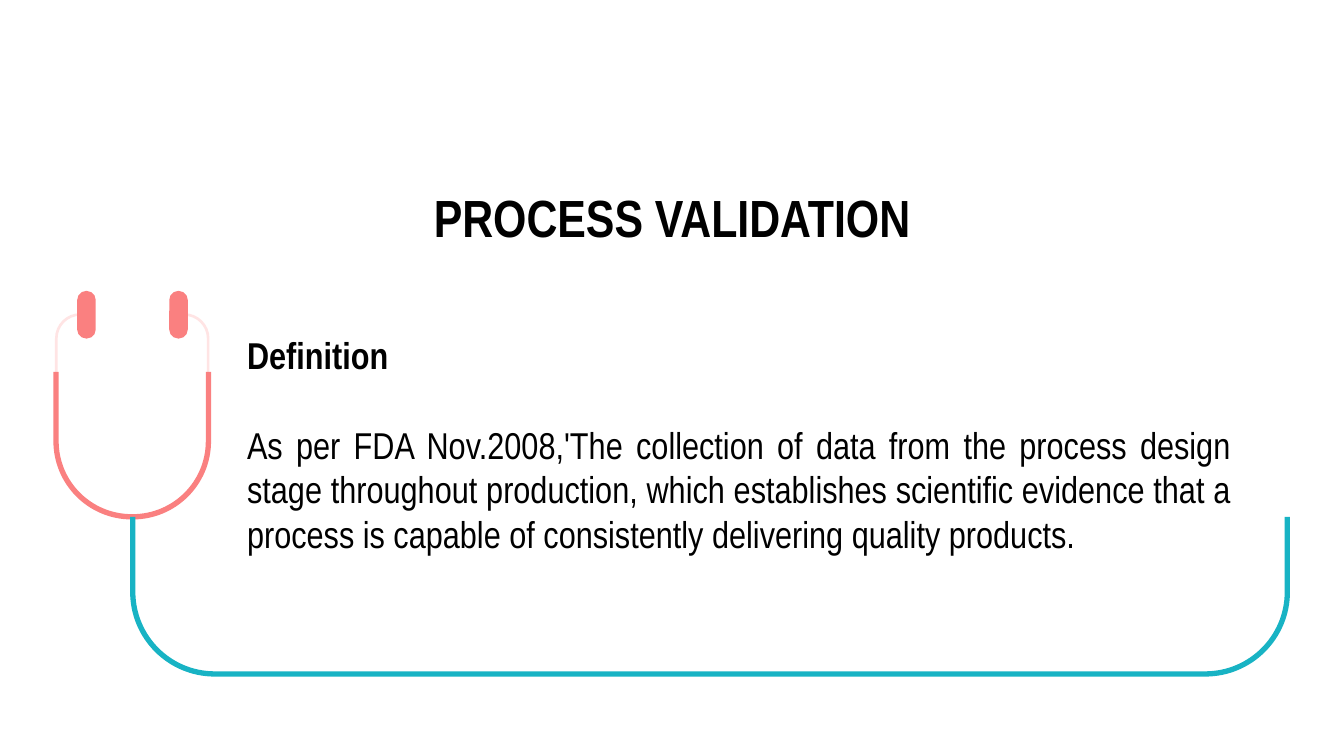
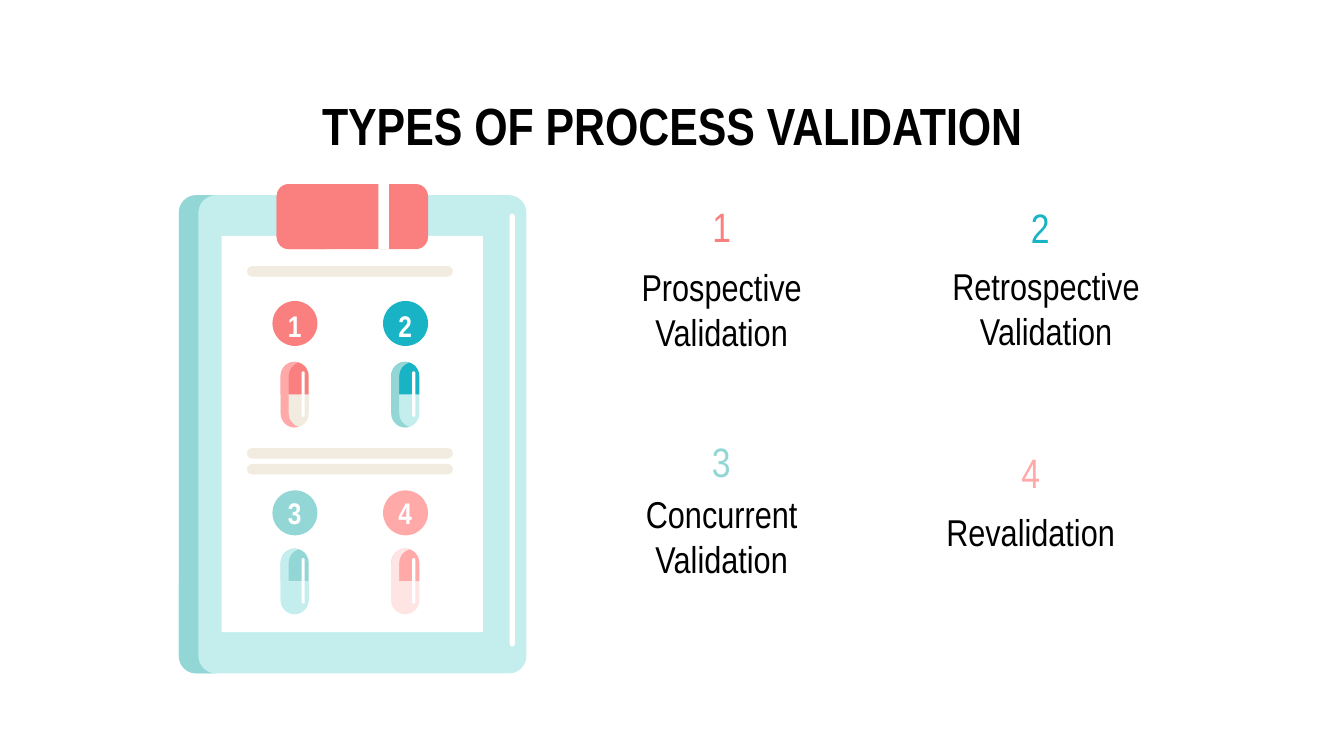
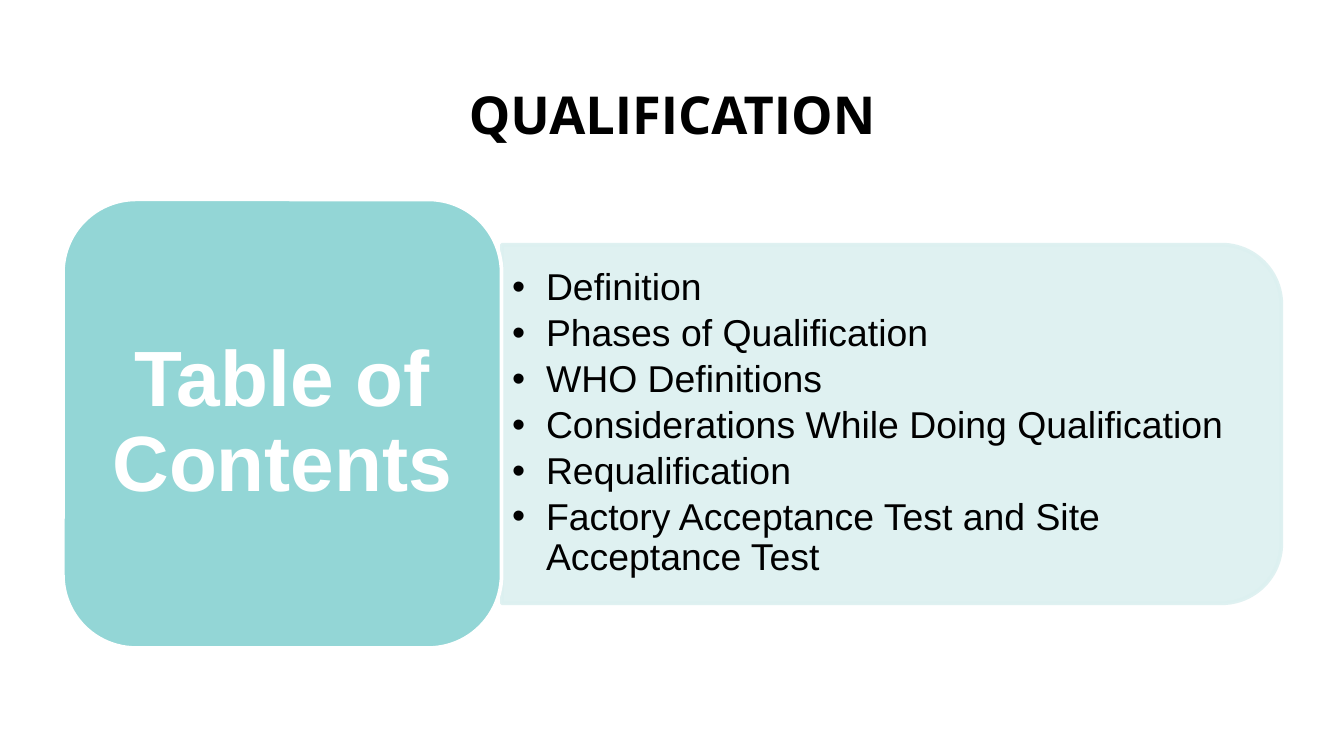
import math

import lxml.etree
import pptx
import pptx.dml.color
import pptx.enum.shapes
import pptx.enum.text
import pptx.oxml.ns
import pptx.util

Cm, Pt = pptx.util.Cm, pptx.util.Pt
qn = pptx.oxml.ns.qn
SHAPE = pptx.enum.shapes.MSO_SHAPE
ALIGN = pptx.enum.text.PP_ALIGN
ANCHOR = pptx.enum.text.MSO_ANCHOR

BLACK, WHITE = "000000", "FFFFFF"
CORAL, PINK, BLUSH = "FA8080", "FFA9A9", "FFE4E4"
TEAL, SEA, MIST = "18B3C4", "93D6D6", "C4EEEE"
SAND, PALE = "F2EBDF", "DCF0F0"
NARROW = "Arial Narrow"

# Lengths in the content and in the drawing functions are centimetres.
DEFINITION = (
    "Definition",
    "As per FDA Nov.2008,'The collection of data from the process design stage "
    "throughout production, which establishes scientific evidence that a process "
    "is capable of consistently delivering quality products.",
)

# name, main colour, lower half, shade, number (left, top), label (left, top, width)
TYPES = [
    ("Prospective Validation", CORAL, SAND, PINK, (11.06, 3.56), (11.06, 4.74, 5.16)),
    ("Retrospective Validation", TEAL, MIST, SEA, (17.08, 3.58), (16.66, 4.72, 6.22)),
    ("Concurrent Validation", SEA, MIST, MIST, (11.05, 8.01), (11.06, 9.04, 5.16)),
    ("Revalidation", PINK, BLUSH, BLUSH, (16.9, 8.2), (16.9, 9.37, 5.16)),
]
DOSE_CENTRES = (5.57, 7.66)
DOSE_ROWS = [(5.69, 5.84, 6.84), (9.27, 9.37, 10.37)]  # tops of disc, number, capsule
RULE_TOPS = (5.03, 8.47, 8.77)

CONTENTS = [
    "Definition",
    "Phases of Qualification",
    "WHO Definitions",
    "Considerations While Doing Qualification",
    "Requalification",
    "Factory Acceptance Test and Site Acceptance Test",
]


def rgb(color):
    return pptx.dml.color.RGBColor.from_string(color)


def paint(sp, fill, line=None):
    sp.shadow.inherit = False
    sp.fill.solid()
    sp.fill.fore_color.rgb = rgb(fill)
    if line:
        sp.line.color.rgb = rgb(line)
        sp.line.width = Pt(2)
    else:
        sp.line.fill.background()
    return sp


def add_box(slide, kind, left, top, width, height, fill, line=None):
    sp = slide.shapes.add_shape(kind, Cm(left), Cm(top), Cm(width), Cm(height))
    return paint(sp, fill, line)


def add_rounded(slide, left, top, width, height, radius, fill):
    sp = add_box(slide, SHAPE.ROUNDED_RECTANGLE, left, top, width, height, fill)
    sp.adjustments[0] = radius / min(width, height)


def arc_points(cx, cy, radius, start, end):
    """Start, two control points and end of an arc; degrees run clockwise."""
    a, b = math.radians(start), math.radians(end)
    pull = 4 / 3 * math.tan((b - a) / 4)
    offsets = [
        (math.cos(a), math.sin(a)),
        (math.cos(a) - pull * math.sin(a), math.sin(a) + pull * math.cos(a)),
        (math.cos(b) + pull * math.sin(b), math.sin(b) - pull * math.cos(b)),
        (math.cos(b), math.sin(b)),
    ]
    return [(cx + radius * x, cy + radius * y) for x, y in offsets]


def add_outline(slide, nodes, fill):
    """Draw a closed outline of points (x, y) and arcs (cx, cy, radius, start, end)."""
    points, curve_starts = [], []
    for node in nodes:
        if len(node) == 2:
            points.append(node)
        else:
            start, *curve = arc_points(*node)
            points.append(start)
            curve_starts.append(len(points) - 1)
            points += curve
    (x, y), *rest = [(Cm(x), Cm(y)) for x, y in points]
    builder = slide.shapes.build_freeform(x, y, scale=1.0)
    builder.add_line_segments(rest, close=True)
    sp = paint(builder.convert_to_shape(), fill)

    lines = list(sp._element.iter(qn("a:lnTo")))
    for i in curve_starts:
        first, *others = lines[i:i + 3]
        curve = lxml.etree.Element(qn("a:cubicBezTo"))
        first.addprevious(curve)
        for line in (first, *others):
            curve.append(line[0])
            line.getparent().remove(line)


def reverse(nodes):
    return [n if len(n) == 2 else (*n[:3], n[4], n[3]) for n in nodes[::-1]]


def mirror(nodes, axis):
    return [(2 * axis - n[0], n[1]) if len(n) == 2
            else (2 * axis - n[0], n[1], n[2], 180 - n[3], 180 - n[4]) for n in nodes]


def u_line(left, top, right, bottom, radius):
    cy = bottom - radius
    return [(left, top), (left + radius, cy, radius, 180, 90),
            (right - radius, cy, radius, 90, 0), (right, top)]


def add_u_tube(slide, left, top, right, bottom, radius, thick, fill):
    outer = u_line(left, top, right, bottom, radius)
    inner = u_line(left + thick, top, right - thick, bottom - thick, radius - thick)
    add_outline(slide, outer + reverse(inner), fill)


def left_side(left, top, bottom, radius, lean):
    """Left edge with round corners; each end goes lean degrees past the upright."""
    cx = left + radius
    return [(cx, top + radius, radius, 270 + lean, 180),
            (cx, bottom - radius, radius, 180, 90 - lean)]


def add_crescent(slide, left, top, height, radius, shift, lean, fill):
    outer = left_side(left, top, top + height, radius, lean)
    inner = left_side(left + shift, top, top + height, radius, -lean)
    add_outline(slide, outer + reverse(inner), fill)


def set_frame(tf, inset_x, inset_y, anchor=ANCHOR.TOP):
    tf.word_wrap = True
    tf.auto_size = pptx.enum.text.MSO_AUTO_SIZE.NONE
    tf.vertical_anchor = anchor
    tf.margin_left = tf.margin_right = Cm(inset_x)
    tf.margin_top = tf.margin_bottom = Cm(inset_y)
    return tf


def add_textbox(slide, left, top, width, height, inset_x, inset_y, anchor=ANCHOR.TOP):
    sp = slide.shapes.add_textbox(Cm(left), Cm(top), Cm(width), Cm(height))
    return set_frame(sp.text_frame, inset_x, inset_y, anchor)


def write(p, text, size, color=BLACK, font=NARROW, bold=False, align=ALIGN.CENTER):
    p.alignment = align
    r = p.add_run()
    r.text = text
    r.font.size = Pt(size)
    r.font.name = font
    r.font.bold = bold
    r.font.color.rgb = rgb(color)


def add_bullet(p, indent):
    pPr = p._p.get_or_add_pPr()
    pPr.set("marL", str(Cm(indent)))
    pPr.set("indent", str(-Cm(indent)))
    lxml.etree.SubElement(pPr, qn("a:buFont")).set("typeface", "Arial")
    lxml.etree.SubElement(pPr, qn("a:buChar")).set("char", "•")


def set_opacity(sp, percent):
    for color in sp._element.spPr.iter(qn("a:srgbClr")):
        alpha = lxml.etree.SubElement(color, qn("a:alpha"))
        alpha.set("val", str(percent * 1000))


def add_slide(prs, title, top, font=NARROW):
    slide = prs.slides.add_slide(prs.slide_layouts[5])
    sp = slide.shapes.title
    sp.left, sp.top, sp.width, sp.height = Cm(2), Cm(top), Cm(21.4), Cm(1.4)
    tf = set_frame(sp.text_frame, 0.25, 0.25)
    write(tf.paragraphs[0], title, 28, font=font, bold=True)
    return slide


def draw_stethoscope(slide):
    axis = 2.5
    ear_tube = [(1.52, 6.4, 0.48, 270, 180), (1.04, 8.1),
                (1.09, 8.1), (1.52, 6.4, 0.43, 180, 270)]
    for centre, nodes in ((axis - 0.87, ear_tube),
                          (axis + 0.87, mirror(ear_tube, axis))):
        add_outline(slide, nodes, BLUSH)
        add_rounded(slide, centre - 0.17, 5.5, 0.35, 0.9, 0.17, CORAL)
    add_u_tube(slide, axis - 1.49, 7.03, axis + 1.49, 9.82, 1.48, 0.1, CORAL)
    add_u_tube(slide, axis - 0.04, 9.77, 24.38, 12.79, 1.6, 0.1, TEAL)


def draw_clipboard(slide):
    add_rounded(slide, 3.38, 3.69, 6.57, 9.04, 0.33, MIST)
    add_crescent(slide, 3.38, 3.69, 9.04, 0.33, 0.37, 0, SEA)
    add_box(slide, SHAPE.RECTANGLE, 4.19, 4.46, 4.94, 7.49, WHITE)
    add_rounded(slide, 5.23, 3.48, 2.86, 1.23, 0.23, CORAL)
    add_crescent(slide, 5.23, 3.48, 1.23, 0.23, 0.7, 0, CORAL)
    add_box(slide, SHAPE.RECTANGLE, 7.15, 3.48, 0.2, 1.23, WHITE)
    add_rounded(slide, 9.63, 4.04, 0.1, 8.18, 0.05, WHITE)
    for top in RULE_TOPS:
        add_rounded(slide, 4.67, top, 3.89, 0.2, 0.1, SAND)


def draw_dose(slide, number, centre, tops, main, lower, shade):
    """Numbered disc with a capsule under it."""
    disc_top, number_top, cap_top = tops
    width, half, shift = 0.53, 0.62, 0.15
    left, radius = centre - width / 2, width / 2
    for y, color, turn in ((cap_top, main, 0), (cap_top + half, lower, 180)):
        sp = add_box(slide, SHAPE.ROUND_2_SAME_RECTANGLE, left, y, width, half, color)
        sp.adjustments[0] = 0.5
        sp.rotation = turn
    lean = math.degrees(math.asin(shift / 2 / radius))
    add_crescent(slide, left, cap_top, 2 * half, radius, shift, lean, shade)
    add_rounded(slide, centre + 0.13, cap_top + 0.18, 0.06, 0.86, 0.03, WHITE)

    add_box(slide, SHAPE.OVAL, centre - 0.42, disc_top, 0.85, 0.85, main)
    tf = add_textbox(slide, centre - 0.42, number_top, 0.84, 0.64, 0.25, 0.25,
                     ANCHOR.MIDDLE)
    write(tf.paragraphs[0], str(number), 16, WHITE, bold=True)


def build_definition(prs):
    slide = add_slide(prs, "PROCESS VALIDATION", 3.26)
    draw_stethoscope(slide)
    heading, body = DEFINITION
    tf = add_textbox(slide, 4.42, 6.15, 19.1, 4.52, 0.25, 0.13)
    write(tf.paragraphs[0], heading, 20, bold=True, align=ALIGN.LEFT)
    p = tf.add_paragraph()
    p.space_before = Pt(24)
    write(p, body, 20, align=ALIGN.JUSTIFY)


def build_types(prs):
    slide = add_slide(prs, "TYPES OF PROCESS VALIDATION", 1.51)
    draw_clipboard(slide)
    for i, (name, main, lower, shade, number_at, label_at) in enumerate(TYPES):
        row, col = divmod(i, 2)
        draw_dose(slide, i + 1, DOSE_CENTRES[col], DOSE_ROWS[row], main, lower, shade)
        tf = add_textbox(slide, *number_at, 5.16, 1, 0.25, 0.25)
        write(tf.paragraphs[0], str(i + 1), 22, main)
        tf = add_textbox(slide, *label_at, 1, 0.25, 0.25)
        write(tf.paragraphs[0], name, 20)


def build_contents(prs):
    slide = add_slide(prs, "QUALIFICATION", 1.3, "Open Sans")
    panel = add_box(slide, SHAPE.ROUND_2_SAME_RECTANGLE, 13.46, 0.65, 6.78, 14.73,
                    PALE, PALE)
    panel.rotation = 90
    set_opacity(panel, 90)
    tf = add_textbox(slide, 9.48, 4.95, 14.4, 6.12, 0.2, 0.1, ANCHOR.MIDDLE)
    for i, item in enumerate(CONTENTS):
        p = tf.add_paragraph() if i else tf.paragraphs[0]
        write(p, item, 20, font="Arial", align=ALIGN.LEFT)
        p.line_spacing = 0.9
        p.space_after = Pt(3)
        add_bullet(p, 0.64)

    card = add_box(slide, SHAPE.ROUNDED_RECTANGLE, 1.19, 3.77, 8.29, 8.48, SEA, WHITE)
    tf = set_frame(card.text_frame, 0.4, 0.23, ANCHOR.MIDDLE)
    p = tf.paragraphs[0]
    p.line_spacing = 0.9
    write(p, "Table of Contents", 42, WHITE, "Arial", True)


def main():
    prs = pptx.Presentation()
    prs.slide_width, prs.slide_height = Cm(25.4), Cm(14.29)
    build_definition(prs)
    build_types(prs)
    build_contents(prs)
    prs.save("out.pptx")


if __name__ == "__main__":
    main()
